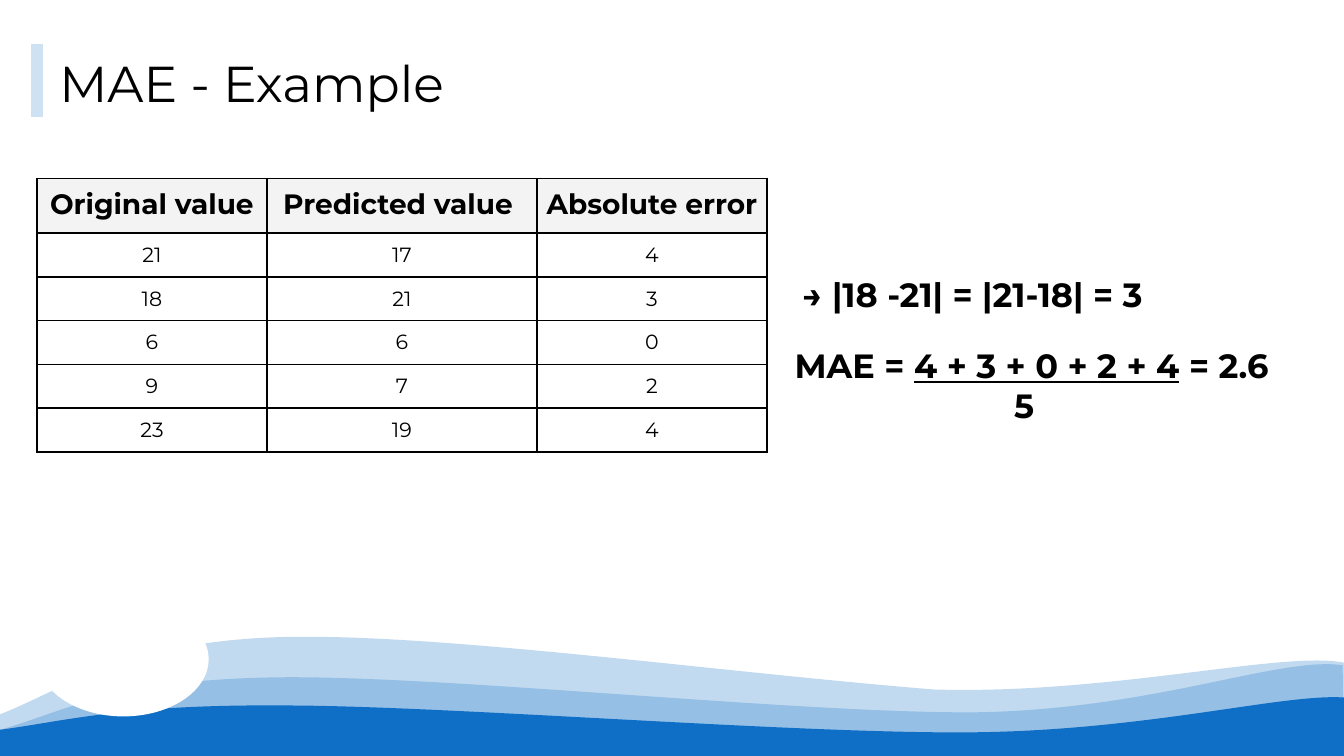
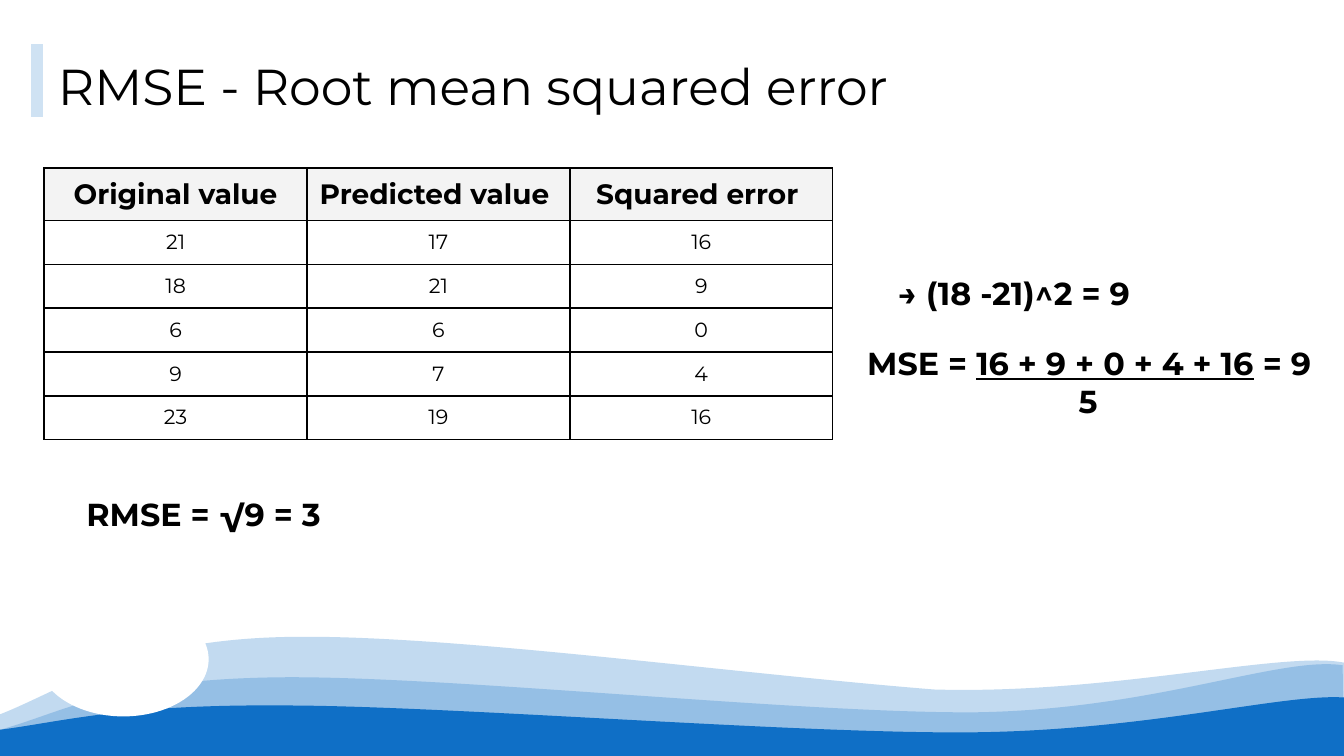
from lxml import etree
from pptx import Presentation
from pptx.dml.color import RGBColor
from pptx.enum import shapes, text
from pptx.oxml import ns
from pptx.util import Pt

FONT = "Montserrat"
BLACK, WHITE, BLUE, PALE_BLUE, HEADER_GREY = "000000", "FFFFFF", "0F6FC6", "CFE2F3", "F3F3F3"
WIDTH, HEIGHT = 720, 405
MARGINS = ("margin_left", "margin_top", "margin_right", "margin_bottom")

# Each wave: start point, then cubic segments (two controls and an end), and opacity in percent
WAVES = [
    ((-0.7, 383), [((33, 370), (67.7, 343.4), (151.2, 341.3)),
                   ((234.7, 339.1), (383.8, 360), (500.4, 369.4)),
                   ((595.4, 372.2), (686.9, 348.5), (720, 355))], 25),
    ((0, 391), [((33.8, 381.6), (59.8, 364.3), (146.9, 362.9)),
                ((234, 361.4), (427.7, 382.3), (522.7, 381.6)),
                ((618.5, 380.2), (685.4, 351.4), (719.3, 356.4))], 25),
    ((0, 391), [((33.8, 386.6), (65.5, 377.3), (151.9, 378)),
                ((238.3, 378), (424.8, 393.1), (519.1, 392.4)),
                ((614.2, 391.7), (686.9, 371.5), (720, 373.7))], 100),
]


def color(hex_value):
    return RGBColor.from_string(hex_value)


def points(*lengths):
    return [Pt(length) for length in lengths]


def assign(target, values):
    for name, value in values.items():
        setattr(target, name, value)


def sub(parent, tag, **attributes):
    return etree.SubElement(parent, ns.qn(tag), attributes)


class Deck:
    def __init__(self):
        self.presentation = Presentation()
        assign(self.presentation, {"slide_width": Pt(WIDTH), "slide_height": Pt(HEIGHT)})
        self.layout = self.presentation.slide_layouts.get_by_name("Title Only")
        self.slide = None

    def add_slide(self, title, left, top, width):
        self.slide = self.presentation.slides.add_slide(self.layout)
        shape = self.slide.shapes.title
        assign(shape, dict(zip(("left", "top", "width", "height"), points(left, top, width, 45.4))))
        self.format_frame(shape.text_frame)
        paragraph = shape.text_frame.paragraphs[0]
        paragraph.alignment = text.PP_ALIGN.LEFT
        self.add_run(paragraph, title, 27)

    def add_accent(self):
        line = self.slide.shapes.add_connector(
            shapes.MSO_CONNECTOR.STRAIGHT, *points(19.8, 23.8, 19.8, 62.6))
        line.line.color.rgb = color(PALE_BLUE)
        line.line.width = Pt(6)
        sub(line.element.spPr, "a:effectLst")

    def format_frame(self, frame):
        assign(frame, {**dict.fromkeys(MARGINS, Pt(7.2)), "word_wrap": True,
                       "auto_size": text.MSO_AUTO_SIZE.NONE,
                       "vertical_anchor": text.MSO_ANCHOR.TOP})

    def add_run(self, paragraph, content, size, bold=False, underline=False):
        run = paragraph.add_run()
        run.text = content
        assign(run.font, {"name": FONT, "size": Pt(size), "bold": bold, "underline": underline})
        run.font.color.rgb = color(BLACK)

    def add_formula(self, box, size, before, numerator="", after="", denominator="", indent=0):
        """Bold text; a fraction has an underlined numerator over an indented denominator."""
        frame = self.slide.shapes.add_textbox(*points(*box)).text_frame
        self.format_frame(frame)
        first = frame.paragraphs[0]
        for content in filter(None, (before, numerator, after)):
            self.add_run(first, content, size, True, content == numerator)
        if denominator:
            second = frame.add_paragraph()
            second._p.get_or_add_pPr().set("marL", str(Pt(indent)))
            self.add_run(second, denominator, size, True)

    def add_table(self, left, top, widths, header_height, rows):
        row_height = 23.4
        height = header_height + row_height * (len(rows) - 1)
        table = self.slide.shapes.add_table(
            len(rows), len(widths), *points(left, top, sum(widths), height)).table
        assign(table, {"first_row": False, "horz_banding": False})
        for column, width in zip(table.columns, widths):
            column.width = Pt(width)
        for index, row in enumerate(rows):
            is_header = index == 0
            table.rows[index].height = Pt(header_height if is_header else row_height)
            for column, content in enumerate(row):
                self.fill_cell(table.cell(index, column), str(content), is_header)

    def fill_cell(self, cell, content, is_header):
        assign(cell, dict.fromkeys(MARGINS, Pt(5)))
        paragraph = cell.text_frame.paragraphs[0]
        paragraph.alignment = text.PP_ALIGN.CENTER
        self.add_run(paragraph, content, 15 if is_header else 11, is_header)
        properties = cell._tc.get_or_add_tcPr()
        for side in ("a:lnL", "a:lnR", "a:lnT", "a:lnB"):
            border = sub(properties, side, w=str(Pt(1)))
            sub(sub(border, "a:solidFill"), "a:srgbClr", val=BLACK)
        cell.fill.solid()
        cell.fill.fore_color.rgb = color(HEADER_GREY if is_header else WHITE)

    def paint(self, shape, hex_value, opacity=100):
        shape.shadow.inherit = False
        shape.fill.solid()
        shape.fill.fore_color.rgb = color(hex_value)
        shape.line.fill.background()
        if opacity < 100:
            fill_color = shape.element.xpath("./p:spPr/a:solidFill/a:srgbClr")[0]
            sub(fill_color, "a:alpha", val=str(opacity * 1000))

    def add_wave(self, start, segments, opacity):
        builder = self.slide.shapes.build_freeform(*points(*start))
        corners = [segment[-1] for segment in segments] + [(WIDTH, HEIGHT), (0, HEIGHT)]
        builder.add_line_segments([points(*corner) for corner in corners], close=True)
        shape = builder.convert_to_shape()
        # Bend the upper sides into cubic curves
        sides = shape.element.xpath(".//a:lnTo")
        for side, segment in zip(sides, segments):
            curve = etree.Element(ns.qn("a:cubicBezTo"))
            for x, y in segment:
                sub(curve, "a:pt", x=str(Pt(x) - shape.left), y=str(Pt(y) - shape.top))
            side.getparent().replace(side, curve)
        self.paint(shape, BLUE, opacity)
        return shape

    def move_waves_to_layout(self):
        """Draw the footer waves on the current slide and hand them to the shared layout."""
        for placeholder in list(self.layout.placeholders)[1:]:
            self.layout.shapes.element.remove(placeholder.element)
        footer = [self.add_wave(*wave) for wave in WAVES]
        cutout = self.slide.shapes.add_shape(
            shapes.MSO_SHAPE.OVAL, *points(20.4, 322.6, 91.4, 61.2))
        self.paint(cutout, WHITE)
        for shape in footer + [cutout]:
            self.layout.shapes.element.append(shape.element)


def main():
    deck = Deck()
    values = [(21, 17), (18, 21), (6, 6), (9, 7), (23, 19)]
    headers = ("Original value", "Predicted value ")

    # Mean absolute error
    deck.add_slide("MAE - Example", 24.6, 20.9, 671)
    deck.move_waves_to_layout()
    rows = [(*headers, "Absolute error ")] + [(a, b, abs(a - b)) for a, b in values]
    deck.add_table(19.8, 95.6, (123.2, 144.7, 123.2), 29.3, rows)
    deck.add_formula((422.8, 139.6, 228.2, 32.4), 18, "→ |18 -21| = |21-18| = 3")
    deck.add_formula((418.6, 177.6, 272.9, 49.7), 18, "MAE = ", "4 + 3 + 0 + 2 + 4", " = 2.6",
                     "5", 117.6)
    deck.add_accent()

    # Root mean squared error
    deck.add_slide("RMSE - Root mean squared error", 23.8, 22.3, 664.6)
    rows = [(*headers, "Squared error ")] + [(a, b, (a - b) ** 2) for a, b in values]
    deck.add_table(23.7, 90, (140.8, 140.8, 140.8), 28.2, rows)
    deck.add_formula((474.1, 139.7, 195.1, 25.2), 17, "→ (18 -21)^2 = 9")
    deck.add_formula((457.5, 177.1, 272.9, 58.3), 17, "MSE = ", "16 + 9 + 0 + 4 + 16", " = 9",
                     "5", 113.2)
    deck.add_formula((39.2, 257.8, 211.7, 33.8), 17, "RMSE = √9 = 3")
    deck.add_accent()

    deck.presentation.save("out.pptx")


if __name__ == "__main__":
    main()
